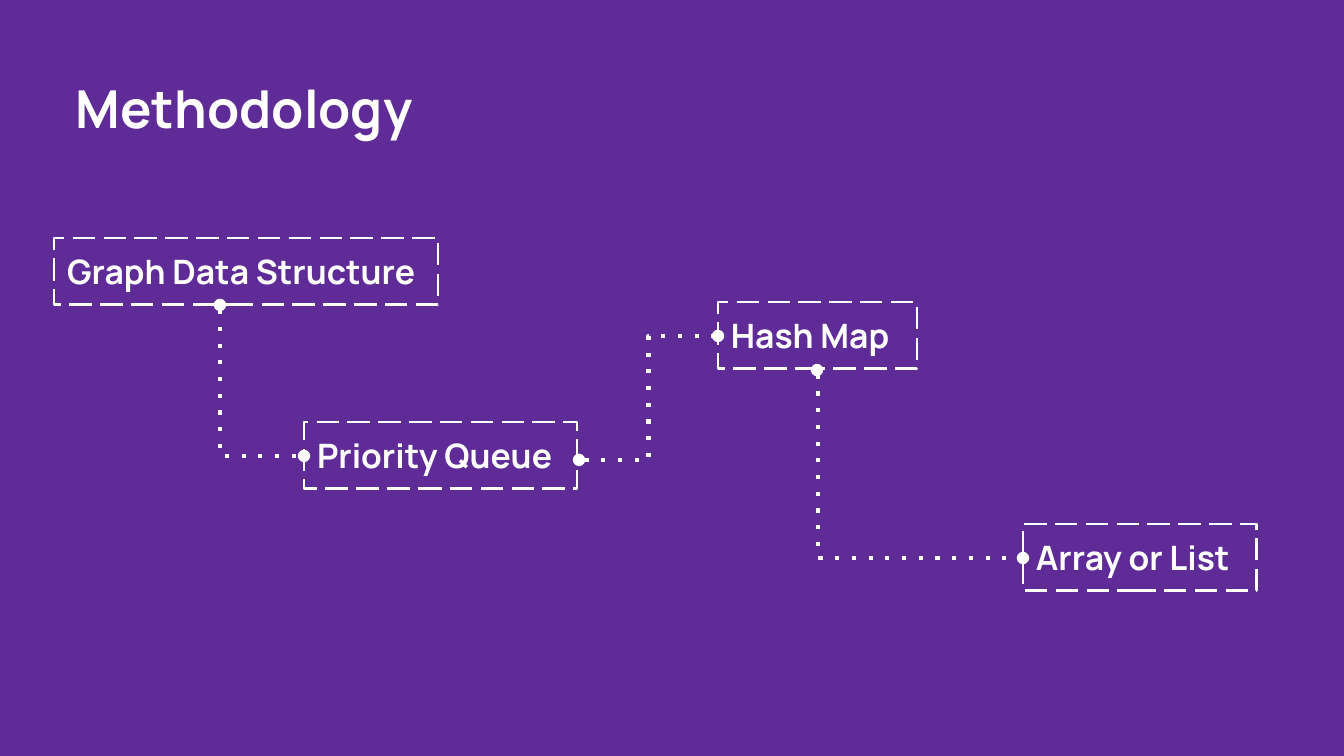
from dataclasses import dataclass

from lxml.etree import SubElement
from pptx import Presentation
from pptx.dml.color import RGBColor
from pptx.enum.dml import MSO_LINE
from pptx.enum.shapes import MSO_CONNECTOR, MSO_SHAPE
from pptx.enum.text import MSO_ANCHOR, MSO_AUTO_SIZE, PP_ALIGN
from pptx.oxml.ns import qn
from pptx.util import Emu, Pt

EMU_PER_PX = 914400 / 134.4


@dataclass(frozen=True)
class Theme:
    background: RGBColor = RGBColor(0x5E, 0x2B, 0x97)
    ink: RGBColor = RGBColor(0xFF, 0xFF, 0xFF)
    font: str = "Manrope"
    title_size: int = 28
    label_size: int = 18
    box_line: float = 1.5
    link_line: float = 2.25


THEME = Theme()
BOX_HEIGHT = 67
INSET = 13

# Label, left, top, width
STEPS = [
    ("Graph Data Structure", 54, 238, 384),
    ("Priority Queue", 304, 422, 273),
    ("Hash Map", 718, 302, 199),
    ("Array or List", 1023, 524, 234),
]

# Start, end, position of the bend in thousandths of a percent of the width
LINKS = [
    ((220, 305), (304, 456), 400),
    ((579, 460), (718, 336), 50000),
    ((817, 370), (1023, 558), 400),
]


def px(n):
    return Emu(round(n * EMU_PER_PX))


def set_text(s, text, *, size, bold=True, color=THEME.ink):
    tf = s.text_frame
    tf.word_wrap = True
    tf.auto_size = MSO_AUTO_SIZE.SHAPE_TO_FIT_TEXT
    tf.vertical_anchor = MSO_ANCHOR.TOP
    tf.margin_left = tf.margin_right = px(INSET)
    tf.margin_top = tf.margin_bottom = px(INSET)
    p = tf.paragraphs[0]
    p.alignment = PP_ALIGN.LEFT
    r = p.add_run()
    r.text = text
    r.font.name = THEME.font
    r.font.size = Pt(size)
    r.font.bold = bold
    r.font.color.rgb = color


def set_line(s, width, dash):
    s.line.color.rgb = THEME.ink
    s.line.width = Pt(width)
    s.line.dash_style = dash


def add_title(slide, text):
    s = slide.shapes.add_textbox(px(63), px(63), px(903), px(90))
    set_text(s, text, size=THEME.title_size)


def add_step(slide, label, left, top, width):
    s = slide.shapes.add_shape(
        MSO_SHAPE.RECTANGLE, px(left), px(top), px(width), px(BOX_HEIGHT))
    s.shadow.inherit = False
    s.fill.background()
    set_line(s, THEME.box_line, MSO_LINE.LONG_DASH)
    set_text(s, label, size=THEME.label_size)


def add_link(slide, start, end, bend):
    s = slide.shapes.add_connector(
        MSO_CONNECTOR.ELBOW, *(px(n) for n in start + end))
    set_line(s, THEME.link_line, MSO_LINE.ROUND_DOT)
    sp = s._element.spPr

    # Plain dots, with a round end on both sides
    ln = sp.find(qn("a:ln"))
    ln.find(qn("a:prstDash")).set("val", "dot")
    for tag in ("a:headEnd", "a:tailEnd"):
        SubElement(ln, qn(tag), type="oval")
    SubElement(sp, qn("a:effectLst"))

    # Place of the bend
    geometry = sp.find(qn("a:prstGeom"))
    guides = geometry.find(qn("a:avLst"))
    if guides is None:
        guides = SubElement(geometry, qn("a:avLst"))
    SubElement(guides, qn("a:gd"), name="adj1", fmla=f"val {bend}")


def main():
    prs = Presentation()
    prs.slide_width, prs.slide_height = px(1344), px(756)
    slide = prs.slides.add_slide(prs.slide_layouts[6])
    fill = slide.background.fill
    fill.solid()
    fill.fore_color.rgb = THEME.background

    add_title(slide, "Methodology")
    for step in STEPS:
        add_step(slide, *step)
    for link in LINKS:
        add_link(slide, *link)

    prs.save("out.pptx")


if __name__ == "__main__":
    main()
